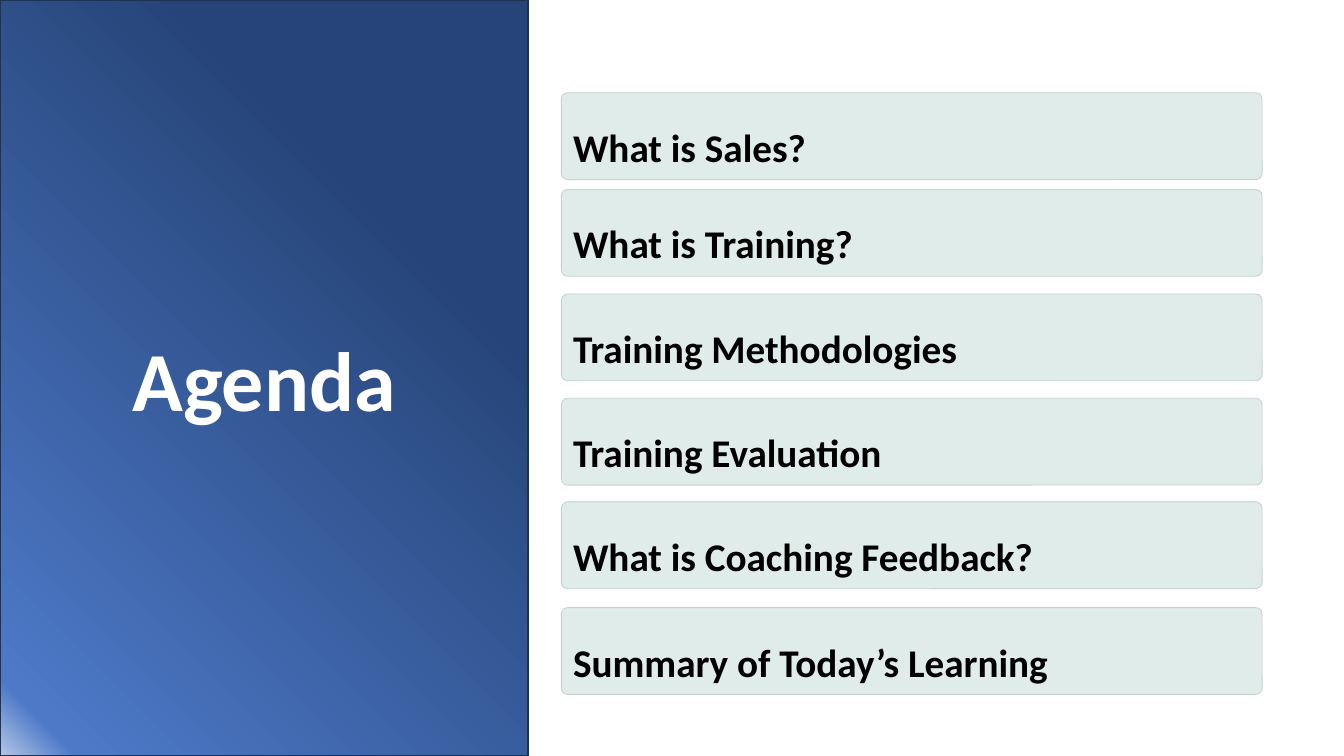
import pptx
import pptx.util
import pptx.dml.color
import pptx.enum.shapes
import pptx.enum.text
import pptx.oxml
import pptx.oxml.ns

Pt = pptx.util.Pt


def rgb(value):
    return pptx.dml.color.RGBColor.from_string(value)


def style_text(p, size, color):
    p.font.name = "Calibri"
    p.font.size = Pt(size)
    p.font.bold = True
    p.font.color.rgb = rgb(color)


prs = pptx.Presentation()
prs.slide_width = Pt(960)
prs.slide_height = Pt(540)
s = prs.slides.add_slide(prs.slide_layouts[5])

title = s.shapes.title
title.left, title.top = Pt(0), Pt(0)
title.width, title.height = Pt(377.3), prs.slide_height
title.line.color.rgb = rgb("1E3256")
title.line.width = Pt(1)

stops = "".join(
    f'<a:gs pos="{pos * 1000}"><a:srgbClr val="{color}"/></a:gs>'
    for pos, color in [(0, "B4C7E7"), (6, "4D79C7"), (73, "264478")]
)
gradient = pptx.oxml.parse_xml(
    f'<a:gradFill {pptx.oxml.ns.nsdecls("a")} rotWithShape="1"><a:gsLst>{stops}</a:gsLst>'
    '<a:path path="circle"><a:fillToRect t="100000" r="100000"/></a:path></a:gradFill>'
)
title.line._get_or_add_ln().addprevious(gradient)

tf = title.text_frame
tf.text = "Agenda"
tf.word_wrap = True
tf.auto_size = pptx.enum.text.MSO_AUTO_SIZE.NONE
tf.vertical_anchor = pptx.enum.text.MSO_ANCHOR.MIDDLE
p = tf.paragraphs[0]
p.alignment = pptx.enum.text.PP_ALIGN.CENTER
style_text(p, 60, "FFFFFF")

agenda = [
    (66.3, "What is Sales?"),
    (135.3, "What is Training?"),
    (210, "Training Methodologies"),
    (284.5, "Training Evaluation"),
    (358.5, "What is Coaching Feedback?"),
    (434, "Summary of Today’s Learning"),
]
for top, topic in agenda:
    sp = s.shapes.add_shape(
        pptx.enum.shapes.MSO_SHAPE.ROUNDED_RECTANGLE, Pt(401), Pt(top), Pt(500.5), Pt(62)
    )
    sp.adjustments[0] = 0.07
    sp.shadow.inherit = False
    sp.fill.solid()
    sp.fill.fore_color.rgb = rgb("DFECE9")
    sp.line.color.rgb = rgb("C5D2CF")
    sp.line.width = Pt(0.6)
    tf = sp.text_frame
    tf.text = topic
    tf.word_wrap = True
    tf.vertical_anchor = pptx.enum.text.MSO_ANCHOR.TOP
    p = tf.paragraphs[0]
    p.alignment = pptx.enum.text.PP_ALIGN.LEFT
    p.line_spacing = 1.5
    style_text(p, 28, "000000")

prs.save("out.pptx")
